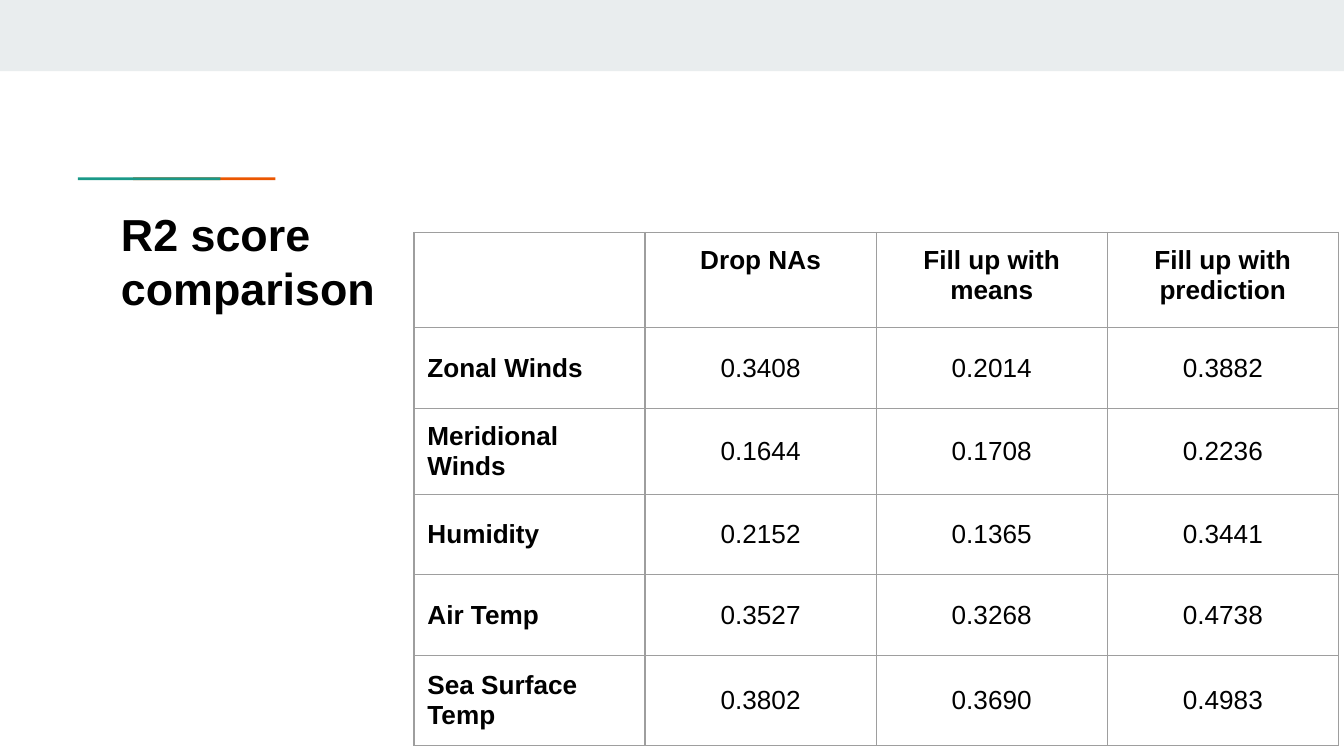
from dataclasses import dataclass

import pptx
import pptx.dml.color
import pptx.enum.shapes
import pptx.enum.text
import pptx.oxml
import pptx.oxml.ns
import pptx.util
from pptx.util import Inches

FONT = "Arial"
BLACK = "000000"
BORDER = "9E9E9E"
INSET = Inches(0.1)
ALIGN = pptx.enum.text.PP_ALIGN
ANCHOR = pptx.enum.text.MSO_ANCHOR


@dataclass
class Bar:
    left: float
    top: float
    width: float
    height: float
    color: str


@dataclass
class ScoreRow:
    label: str
    scores: tuple[str, ...]
    height: float


BARS = [
    Bar(0, 0, 10, 0.53, "E9EDEE"),
    Bar(0.99, 1.32, 1.06, 0.02, "EB5600"),
    Bar(0.58, 1.32, 1.06, 0.02, "1A9988"),
]
ROWS = [
    ScoreRow("", ("Drop NAs", "Fill up with means", "Fill up with prediction"), 0.71),
    ScoreRow("Zonal Winds", ("0.3408", "0.2014", "0.3882"), 0.6),
    ScoreRow("Meridional Winds", ("0.1644", "0.1708", "0.2236"), 0.6),
    ScoreRow("Humidity", ("0.2152", "0.1365", "0.3441"), 0.6),
    ScoreRow("Air Temp", ("0.3527", "0.3268", "0.4738"), 0.6),
    ScoreRow("Sea Surface Temp", ("0.3802", "0.3690", "0.4983"), 0.67),
]
COLUMN_WIDTH = 1.72


def rgb(color: str) -> pptx.dml.color.RGBColor:
    return pptx.dml.color.RGBColor.from_string(color)


def add_bar(slide, bar: Bar) -> None:
    rectangle = slide.shapes.add_shape(
        pptx.enum.shapes.MSO_SHAPE.RECTANGLE,
        Inches(bar.left), Inches(bar.top), Inches(bar.width), Inches(bar.height),
    )
    rectangle.shadow.inherit = False
    rectangle.fill.solid()
    rectangle.fill.fore_color.rgb = rgb(bar.color)
    rectangle.line.fill.background()


def write(paragraph, text: str, size: float, bold: bool, align) -> None:
    paragraph.alignment = align
    run = paragraph.add_run()
    run.text = text
    run.font.name = FONT
    run.font.size = pptx.util.Pt(size)
    run.font.bold = bold
    run.font.color.rgb = rgb(BLACK)


def set_insets(target) -> None:
    target.margin_left = target.margin_right = INSET
    target.margin_top = target.margin_bottom = INSET


def set_borders(cell, color: str, width: float) -> None:
    properties = cell._tc.get_or_add_tcPr()
    for position, side in enumerate(("lnL", "lnR", "lnT", "lnB")):
        border = pptx.oxml.parse_xml(
            f'<a:{side} {pptx.oxml.ns.nsdecls("a")} w="{pptx.util.Pt(width)}">'
            f'<a:solidFill><a:srgbClr val="{color}"/></a:solidFill></a:{side}>'
        )
        properties.insert(position, border)


def add_title(slide, text: str) -> None:
    title = slide.shapes.title
    title.left, title.top = Inches(0.8), Inches(1.44)
    title.width, title.height = Inches(2.09), Inches(0.81)
    frame = title.text_frame
    frame.word_wrap = True
    frame.auto_size = pptx.enum.text.MSO_AUTO_SIZE.NONE
    frame.vertical_anchor = ANCHOR.TOP
    set_insets(frame)
    frame.margin_right = Inches(0.05)  # keeps the longest word on one line
    frame.paragraphs[0].line_spacing = 1.0
    write(frame.paragraphs[0], text, 24, True, ALIGN.LEFT)


def add_score_table(slide, rows: list[ScoreRow]) -> None:
    column_count = len(rows[0].scores) + 1
    table = slide.shapes.add_table(
        len(rows), column_count, Inches(3.08), Inches(1.73),
        Inches(COLUMN_WIDTH * column_count), Inches(sum(row.height for row in rows)),
    ).table
    table.first_row = table.horz_banding = False
    for column in table.columns:
        column.width = Inches(COLUMN_WIDTH)
    for row_index, row in enumerate(rows):
        table.rows[row_index].height = Inches(row.height)
        is_header = row_index == 0
        for column_index, text in enumerate((row.label, *row.scores)):
            is_label = column_index == 0
            cell = table.cell(row_index, column_index)
            cell.fill.background()
            set_insets(cell)
            set_borders(cell, BORDER, 0.75)
            cell.vertical_anchor = ANCHOR.TOP if is_header else ANCHOR.MIDDLE
            if text:
                write(cell.text_frame.paragraphs[0], text, 14, is_header or is_label,
                      ALIGN.LEFT if is_label else ALIGN.CENTER)


def main() -> None:
    presentation = pptx.Presentation()
    presentation.slide_width = Inches(10)
    presentation.slide_height = presentation.slide_width * 9 // 16
    slide = presentation.slides.add_slide(presentation.slide_layouts[5])
    for bar in BARS:
        add_bar(slide, bar)
    add_title(slide, "R2 score comparison")
    add_score_table(slide, ROWS)
    presentation.save("out.pptx")


if __name__ == "__main__":
    main()
